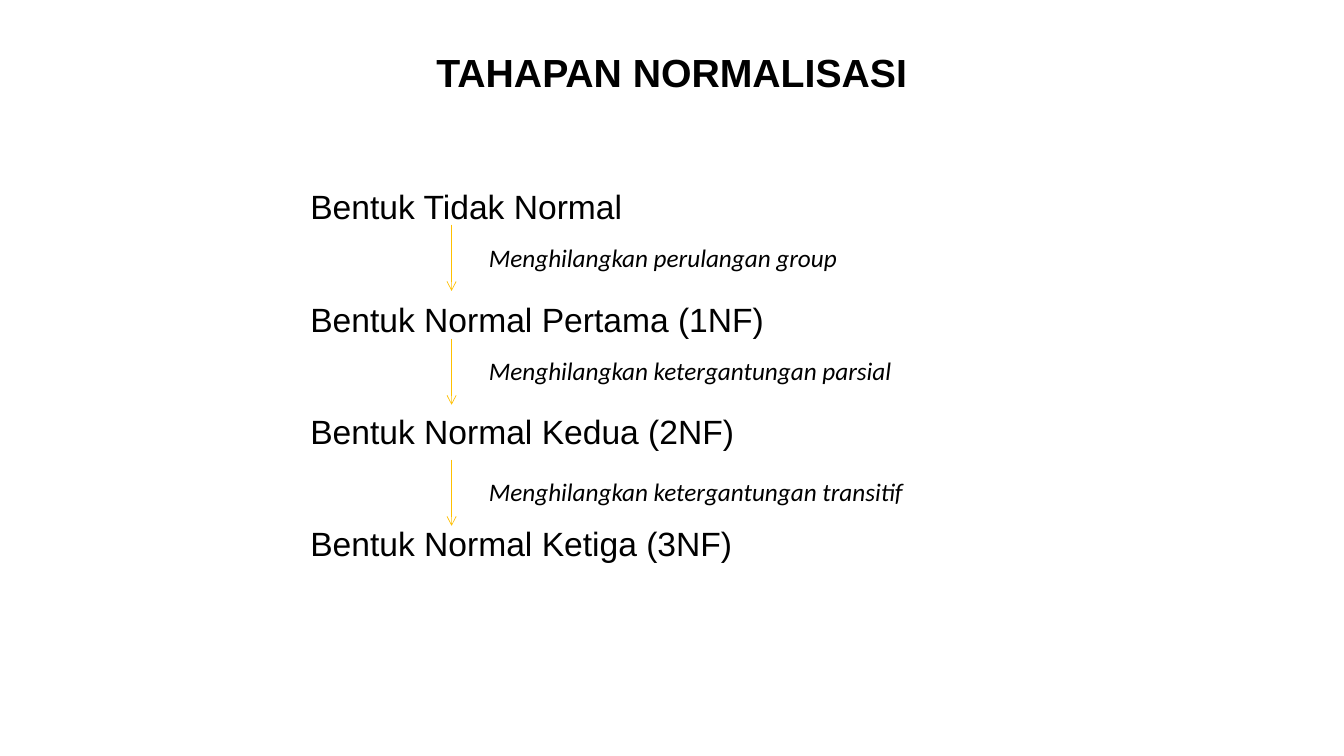
from dataclasses import dataclass

from lxml import etree
from pptx import Presentation
from pptx.dml.color import RGBColor
from pptx.enum.shapes import MSO_CONNECTOR
from pptx.enum.text import MSO_ANCHOR, MSO_AUTO_SIZE, PP_ALIGN
from pptx.oxml.ns import qn
from pptx.util import Cm, Pt

STRAIGHT = MSO_CONNECTOR.STRAIGHT
TOP = MSO_ANCHOR.TOP
FIT_SHAPE = MSO_AUTO_SIZE.SHAPE_TO_FIT_TEXT
LEFT, CENTER = PP_ALIGN.LEFT, PP_ALIGN.CENTER

BLACK = RGBColor(0x00, 0x00, 0x00)
AMBER = RGBColor(0xFF, 0xC0, 0x00)

TITLE_FONT = {"name": "Arial", "size": Pt(28), "bold": True}
FORM_FONT = {"name": "Arial", "size": Pt(24)}
ACTION_FONT = {"name": "Calibri", "size": Pt(18), "italic": True}
FRAME_FORMAT = {"word_wrap": True, "auto_size": FIT_SHAPE, "vertical_anchor": TOP}

# Layout in centimetres
FORM_LEFT, FORM_TOP, FORM_PITCH = 7.57, 4.57, 2.83
FORM_WIDTH, FORM_HEIGHT = 15.01, 1.27
ARROW_X, ARROW_LENGTH = 11.38, 1.67
ACTION_LEFT, ACTION_DROP, ACTION_HEIGHT = 12.07, 0.31, 1.02


@dataclass(frozen=True)
class Step:
    action: str
    arrow_top: float
    width: float


FORMS = (
    "Bentuk Tidak Normal",
    "Bentuk Normal Pertama (1NF)",
    "Bentuk Normal Kedua (2NF)",
    "Bentuk Normal Ketiga (3NF)",
)
STEPS = (
    Step("Menghilangkan perulangan group", 5.66, 9.73),
    Step("Menghilangkan ketergantungan parsial", 8.53, 14.02),
    Step("Menghilangkan ketergantungan transitif", 11.58, 14.61),
)


def write(frame, text: str, font_format: dict, alignment=LEFT) -> None:
    for attribute, value in FRAME_FORMAT.items():
        setattr(frame, attribute, value)
    paragraph = frame.paragraphs[0]
    paragraph.alignment = alignment
    run = paragraph.add_run()
    run.text = text
    for attribute, value in font_format.items():
        setattr(run.font, attribute, value)
    run.font.color.rgb = BLACK


def add_label(slide, text: str, left: float, top: float, width: float,
              height: float, font_format: dict) -> None:
    label = slide.shapes.add_textbox(Cm(left), Cm(top), Cm(width), Cm(height))
    write(label.text_frame, text, font_format)


def add_arrow(slide, top: float) -> None:
    arrow = slide.shapes.add_connector(
        STRAIGHT, Cm(ARROW_X), Cm(top), Cm(ARROW_X), Cm(top + ARROW_LENGTH))
    arrow.line.color.rgb = AMBER
    arrow.line.width = Pt(0.5)
    etree.SubElement(arrow.line._get_or_add_ln(), qn("a:tailEnd"), type="arrow")
    etree.SubElement(arrow._element.spPr, qn("a:effectLst"))


presentation = Presentation()
presentation.slide_width = Cm(33.87)
presentation.slide_height = Cm(19.05)
slide = presentation.slides.add_slide(presentation.slide_layouts[5])

# Title
heading = slide.shapes.title
heading.left, heading.top = Cm(9.42), Cm(1.09)
heading.width, heading.height = Cm(15.01), Cm(1.45)
write(heading.text_frame, "TAHAPAN NORMALISASI", TITLE_FONT, CENTER)

# Normal forms
for index, form in enumerate(FORMS):
    add_label(slide, form, FORM_LEFT, FORM_TOP + index * FORM_PITCH,
              FORM_WIDTH, FORM_HEIGHT, FORM_FONT)

# Steps between the forms
for step in STEPS:
    add_arrow(slide, step.arrow_top)
    add_label(slide, step.action, ACTION_LEFT, step.arrow_top + ACTION_DROP,
              step.width, ACTION_HEIGHT, ACTION_FONT)

presentation.save("out.pptx")
